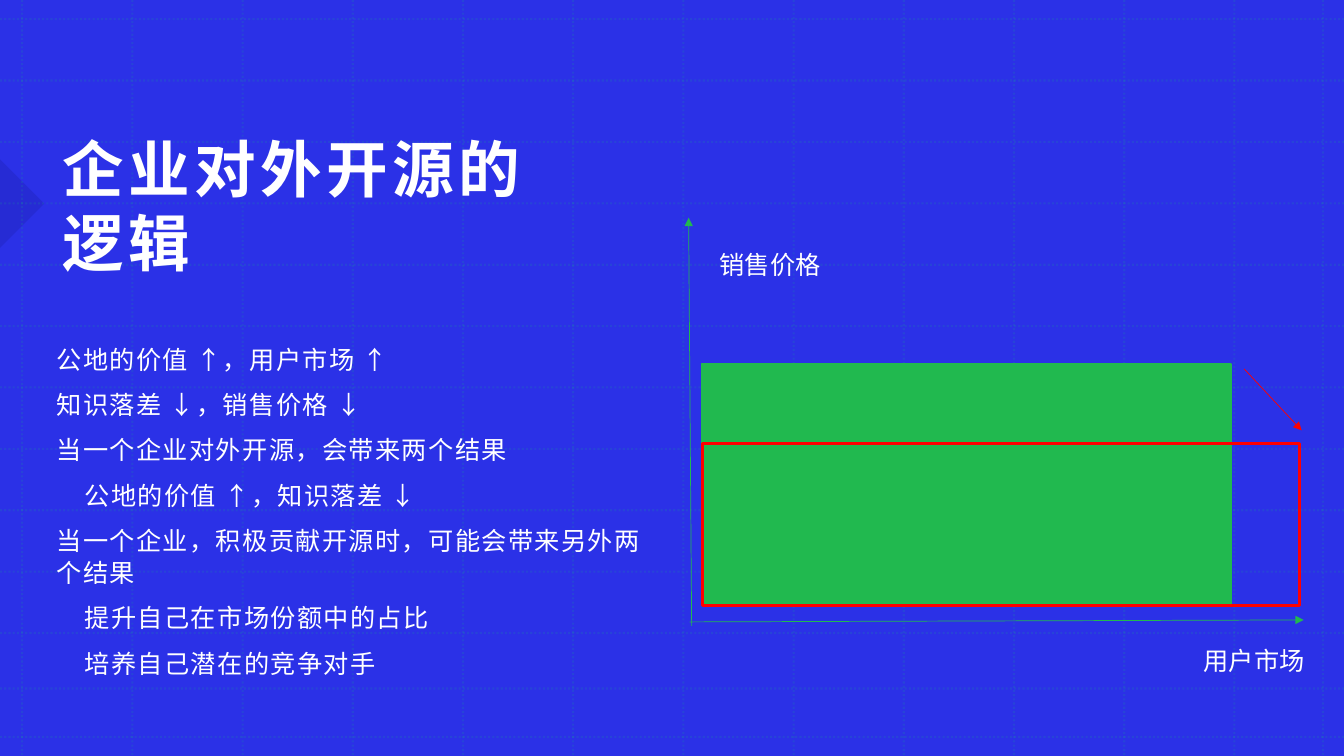
import pptx
import pptx.util
import pptx.dml.color
import pptx.enum.dml
import pptx.enum.shapes
import pptx.enum.text
import pptx.oxml.ns
from lxml import etree

Inches = pptx.util.Inches
Pt = pptx.util.Pt
RGBColor = pptx.dml.color.RGBColor
SHAPES = pptx.enum.shapes.MSO_SHAPE
qn = pptx.oxml.ns.qn

FONT = "Noto Sans CJK SC"
WHITE = RGBColor(0xFF, 0xFF, 0xFF)
BLUE = RGBColor(0x2B, 0x31, 0xE7)
NAVY = RGBColor(0x0E, 0x11, 0x7B)
TEAL = RGBColor(0x14, 0xB7, 0x89)
GREEN = RGBColor(0x21, 0xB9, 0x4F)
RED = RGBColor(0xFF, 0x00, 0x00)
WIDTH, HEIGHT = 13.33, 7.5

# Each argument with its indent in inches
ARGUMENTS = [
    ("公地的价值 ↑，用户市场 ↑", 0),
    ("知识落差 ↓，销售价格 ↓", 0),
    ("当一个企业对外开源，会带来两个结果", 0),
    ("公地的价值 ↑，知识落差 ↓", 0.28),
    ("当一个企业，积极贡献开源时，可能会带来另外两个结果", 0),
    ("提升自己在市场份额中的占比", 0.28),
    ("培养自己潜在的竞争对手", 0.28),
]


def set_alpha(fill_owner, percent):
    color = fill_owner.find(".//" + qn("a:srgbClr"))
    etree.SubElement(color, qn("a:alpha"), val=str(percent * 1000))


def write(paragraph, text, size=18, bold=False, spacing=0, indent=0,
          line_spacing=1.0, before=0):
    paragraph.alignment = pptx.enum.text.PP_ALIGN.LEFT
    paragraph.line_spacing = line_spacing
    paragraph.space_before = Pt(before)
    if indent:
        paragraph._p.get_or_add_pPr().set("marL", str(Inches(indent)))
    run = paragraph.add_run()
    run.text = text
    run.font.size = Pt(size)
    run.font.bold = bold
    run.font.name = FONT
    run.font.color.rgb = WHITE
    properties = run._r.get_or_add_rPr()
    properties.set("spc", str(round(spacing * 100)))
    etree.SubElement(properties, qn("a:ea"), typeface=FONT)


def set_frame(frame, anchor=pptx.enum.text.MSO_ANCHOR.TOP, side=0.1, top=0.05, bottom=0.05):
    frame.word_wrap = True
    frame.auto_size = pptx.enum.text.MSO_AUTO_SIZE.NONE
    frame.vertical_anchor = anchor
    frame.margin_left = frame.margin_right = Inches(side)
    frame.margin_top, frame.margin_bottom = Inches(top), Inches(bottom)


def add_label(slide, text, left, top, width):
    label = slide.shapes.add_textbox(Inches(left), Inches(top), Inches(width), Inches(0.4))
    set_frame(label.text_frame)
    write(label.text_frame.paragraphs[0], text)


def add_block(slide, kind, left, top, width, height, fill=None, line=None, weight=1):
    block = slide.shapes.add_shape(kind, Inches(left), Inches(top), Inches(width), Inches(height))
    block.shadow.inherit = False
    if fill is None:
        block.fill.background()
    else:
        block.fill.solid()
        block.fill.fore_color.rgb = fill
    if line is None:
        block.line.fill.background()
    else:
        block.line.color.rgb = line
        block.line.width = Pt(weight)
    return block


def add_line(slide, start, end, color, weight):
    line = slide.shapes.add_connector(
        pptx.enum.shapes.MSO_CONNECTOR.STRAIGHT,
        Inches(start[0]), Inches(start[1]), Inches(end[0]), Inches(end[1]))
    line.line.color.rgb = color
    line.line.width = Pt(weight)
    etree.SubElement(line._element.spPr, qn("a:effectLst"))
    return line


def add_arrow(slide, start, end, color):
    arrow = add_line(slide, start, end, color, 0.5)
    etree.SubElement(arrow.line._get_or_add_ln(), qn("a:tailEnd"), type="triangle")


def add_grid(slide):
    columns = [0.22 + 1.093 * i for i in range(12)] + [13.12]
    rows = [0.19 + 0.609 * i for i in range(11)] + [6.83, 7.31]
    ends = [((x, 0), (x, HEIGHT)) for x in columns] + [((0, y), (WIDTH, y)) for y in rows]
    for start, end in ends:
        grid_line = add_line(slide, start, end, TEAL, 1.5)
        grid_line.line.dash_style = pptx.enum.dml.MSO_LINE.ROUND_DOT
        set_alpha(grid_line.line._get_or_add_ln(), 15)


def add_title(slide):
    title = slide.shapes.title
    title.left, title.top = Inches(0.5), Inches(0.79)
    title.width, title.height = Inches(5.42), Inches(2.46)
    set_frame(title.text_frame, pptx.enum.text.MSO_ANCHOR.MIDDLE, 0.12, 0.12, 0.1)
    write(title.text_frame.paragraphs[0], "企业对外开源的逻辑", size=44, bold=True, spacing=3.2)
    # Bring the title in front of the grid
    title._element.getparent().append(title._element)


def add_arguments(slide):
    box = slide.shapes.add_textbox(Inches(0.44), Inches(3.28), Inches(6.12), Inches(3.59))
    frame = box.text_frame
    set_frame(frame, side=0.12, top=0.12, bottom=0.1)
    for i, (text, indent) in enumerate(ARGUMENTS):
        paragraph = frame.add_paragraph() if i else frame.paragraphs[0]
        write(paragraph, text, spacing=1, indent=indent, line_spacing=1.04, before=10)


def add_market_diagram(slide):
    # Market before open sourcing, with its axes
    add_block(slide, SHAPES.RECTANGLE, 6.96, 3.61, 5.25, 2.39, fill=GREEN, line=GREEN)
    add_arrow(slide, (6.84, 6.17), (12.93, 6.15), GREEN)
    add_label(slide, "用户市场", 11.84, 6.35, 1.21)
    add_arrow(slide, (6.86, 6.21), (6.83, 2.16), GREEN)
    add_label(slide, "销售价格", 7.04, 2.42, 3)
    # Market after: lower price, more users
    add_block(slide, SHAPES.RECTANGLE, 6.97, 4.4, 5.92, 1.61, line=RED, weight=2.25)
    add_arrow(slide, (12.34, 3.66), (12.91, 4.27), RED)


def main():
    deck = pptx.Presentation()
    deck.slide_width, deck.slide_height = Inches(WIDTH), Inches(HEIGHT)
    slide = deck.slides.add_slide(deck.slide_layouts[5])

    # Backdrop
    slide.background.fill.solid()
    slide.background.fill.fore_color.rgb = BLUE
    marker = add_block(slide, SHAPES.RIGHT_TRIANGLE, -0.31, 1.71, 0.62, 0.62, fill=NAVY)
    marker.rotation = 225
    set_alpha(marker._element.spPr, 17)
    add_grid(slide)

    # Content
    add_title(slide)
    add_arguments(slide)
    add_market_diagram(slide)
    deck.save("out.pptx")


if __name__ == "__main__":
    main()
